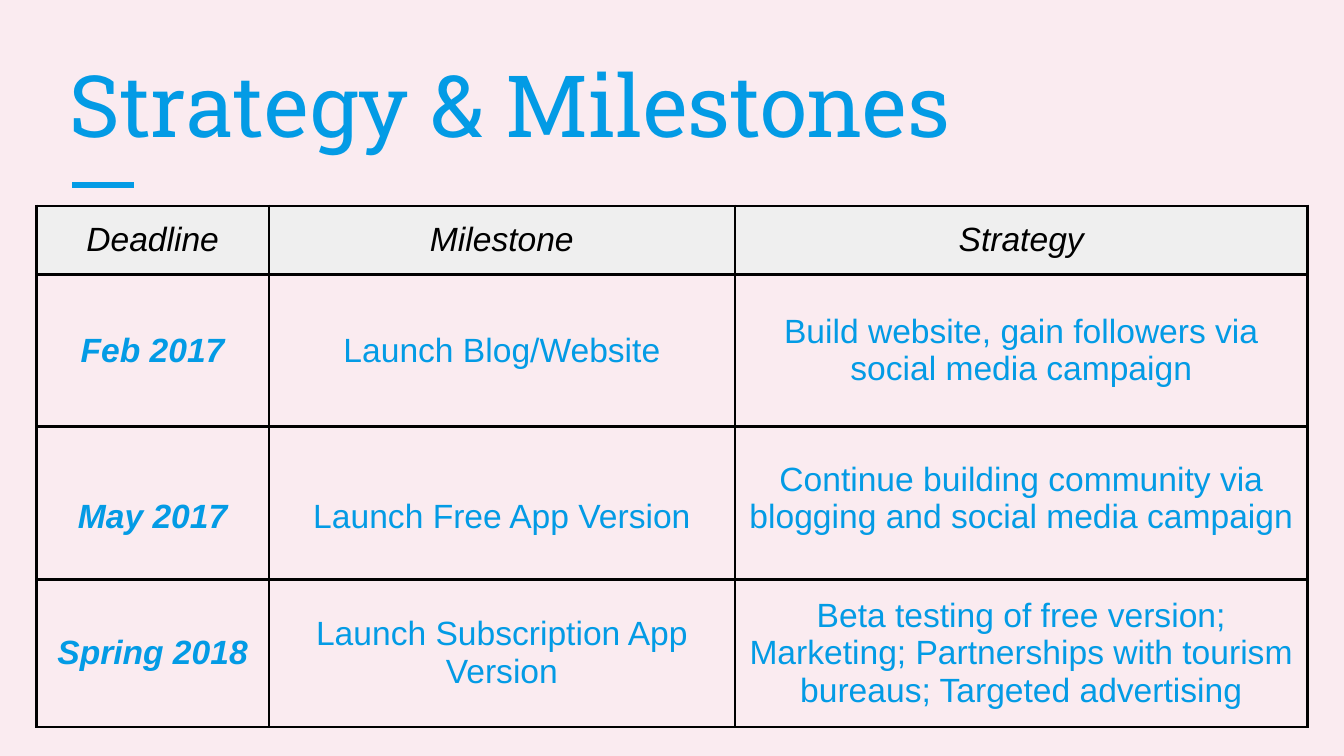
"""Build the Strategy & Milestones slide with its deadline tables."""
from dataclasses import dataclass

from lxml.etree import SubElement
from pptx import Presentation
from pptx.dml.color import RGBColor
from pptx.enum.shapes import MSO_CONNECTOR
from pptx.enum.text import MSO_ANCHOR, PP_ALIGN
from pptx.oxml.ns import qn
from pptx.slide import Slide
from pptx.table import _Cell
from pptx.text.text import TextFrame
from pptx.util import Cm, Length, Pt


@dataclass(frozen=True)
class Theme:
    background: str = "FAEBF0"
    accent: str = "039BE5"
    ink: str = "000000"
    header: str = "EFEFEF"
    title_font: str = "Roboto Slab"
    body_font: str = "Arial"
    title_size: Length = Pt(46)
    body_size: Length = Pt(18)
    border: Length = Pt(1.5)
    rule: Length = Pt(3)
    inset: Length = Cm(0.25)


@dataclass(frozen=True)
class Row:
    height: Length
    texts: tuple[str, str, str]
    header: bool = False
    strategy_drop: Length = Cm(0)


THEME = Theme()
TABLE_LEFT = Cm(0.69)
COLUMN_WIDTHS = (Cm(4.39), Cm(8.81), Cm(10.82))
TABLES = (
    (Cm(3.89), (
        Row(Cm(1.3), ("Deadline", "Milestone", "Strategy"), header=True),
        Row(Cm(2.87), ("Feb 2017", "Launch Blog/Website",
                       "Build website, gain followers via social media campaign")),
        Row(Cm(3.43), ("May 2017", "Launch Free App Version",
                       "Continue building community via blogging and social media campaign"),
            strategy_drop=Cm(0.71)),
    )),
    (Cm(10.95), (
        Row(Cm(2.64), ("Spring 2018", "Launch Subscription App Version",
                       "Beta testing of free version;\n"
                       "Marketing; Partnerships with tourism bureaus; Targeted advertising")),
    )),
)


def write_text(frame: TextFrame, text: str, *, font: str, size: Length, color: str,
               align: PP_ALIGN = PP_ALIGN.LEFT, bold: bool = False,
               italic: bool = False) -> None:
    """Write one paragraph per line of text in the given format."""
    frame.word_wrap = True
    for index, line in enumerate(text.split("\n")):
        para = frame.add_paragraph() if index else frame.paragraphs[0]
        para.alignment = align
        span = para.add_run()
        span.text = line
        span.font.name = font
        span.font.size = size
        span.font.bold = bold
        span.font.italic = italic
        span.font.color.rgb = RGBColor.from_string(color)


def style_cell(cell: _Cell, fill: str, bottom_extra: Length) -> None:
    """Set the fill, insets and four borders of a cell."""
    cell.vertical_anchor = MSO_ANCHOR.MIDDLE
    cell.margin_left = cell.margin_right = cell.margin_top = THEME.inset
    cell.margin_bottom = THEME.inset + bottom_extra
    properties = cell._tc.get_or_add_tcPr()
    for side in ("lnL", "lnR", "lnT", "lnB"):
        line = SubElement(properties, qn(f"a:{side}"), w=str(THEME.border))
        SubElement(SubElement(line, qn("a:solidFill")), qn("a:srgbClr"), val=THEME.ink)
    cell.fill.solid()
    cell.fill.fore_color.rgb = RGBColor.from_string(fill)


def draw_table(page: Slide, top: Length, rows: tuple[Row, ...]) -> None:
    """Draw a bordered table of milestone rows."""
    table = page.shapes.add_table(len(rows), len(COLUMN_WIDTHS), TABLE_LEFT, top,
                                  sum(COLUMN_WIDTHS), sum(row.height for row in rows)).table
    table.first_row = table.horz_banding = False
    for column, width in zip(table.columns, COLUMN_WIDTHS):
        column.width = width
    for row_index, row in enumerate(rows):
        table.rows[row_index].height = row.height
        for column_index, text in enumerate(row.texts):
            cell = table.cell(row_index, column_index)
            is_deadline = column_index == 0
            is_strategy = column_index == len(row.texts) - 1
            style_cell(cell, THEME.header if row.header else THEME.background,
                       row.strategy_drop if is_strategy else Cm(0))
            write_text(cell.text_frame, text, font=THEME.body_font, size=THEME.body_size,
                       color=THEME.ink if row.header else THEME.accent,
                       align=PP_ALIGN.CENTER, bold=is_deadline and not row.header,
                       italic=is_deadline or row.header)


def draw_heading(page: Slide) -> None:
    """Draw the title and the short rule under it."""
    rule = page.shapes.add_connector(MSO_CONNECTOR.STRAIGHT, Cm(1.37), Cm(3.5),
                                     Cm(2.54), Cm(3.5))
    rule.line.color.rgb = RGBColor.from_string(THEME.accent)
    rule.line.width = THEME.rule
    SubElement(rule._element.spPr, qn("a:effectLst"))
    box = page.shapes.add_textbox(Cm(1.07), Cm(1.27), Cm(23.24), Cm(1.91))
    frame = box.text_frame
    frame.vertical_anchor = MSO_ANCHOR.BOTTOM
    frame.margin_left = frame.margin_right = THEME.inset
    frame.margin_top = frame.margin_bottom = THEME.inset
    write_text(frame, "Strategy & Milestones", font=THEME.title_font,
               size=THEME.title_size, color=THEME.accent)


def main() -> None:
    """Build and save the deck."""
    deck = Presentation()
    deck.slide_width, deck.slide_height = Cm(25.4), Cm(14.29)
    page = deck.slides.add_slide(deck.slide_layouts[6])
    page.background.fill.solid()
    page.background.fill.fore_color.rgb = RGBColor.from_string(THEME.background)
    draw_heading(page)
    for top, rows in TABLES:
        draw_table(page, top, rows)
    deck.save("out.pptx")


if __name__ == "__main__":
    main()
